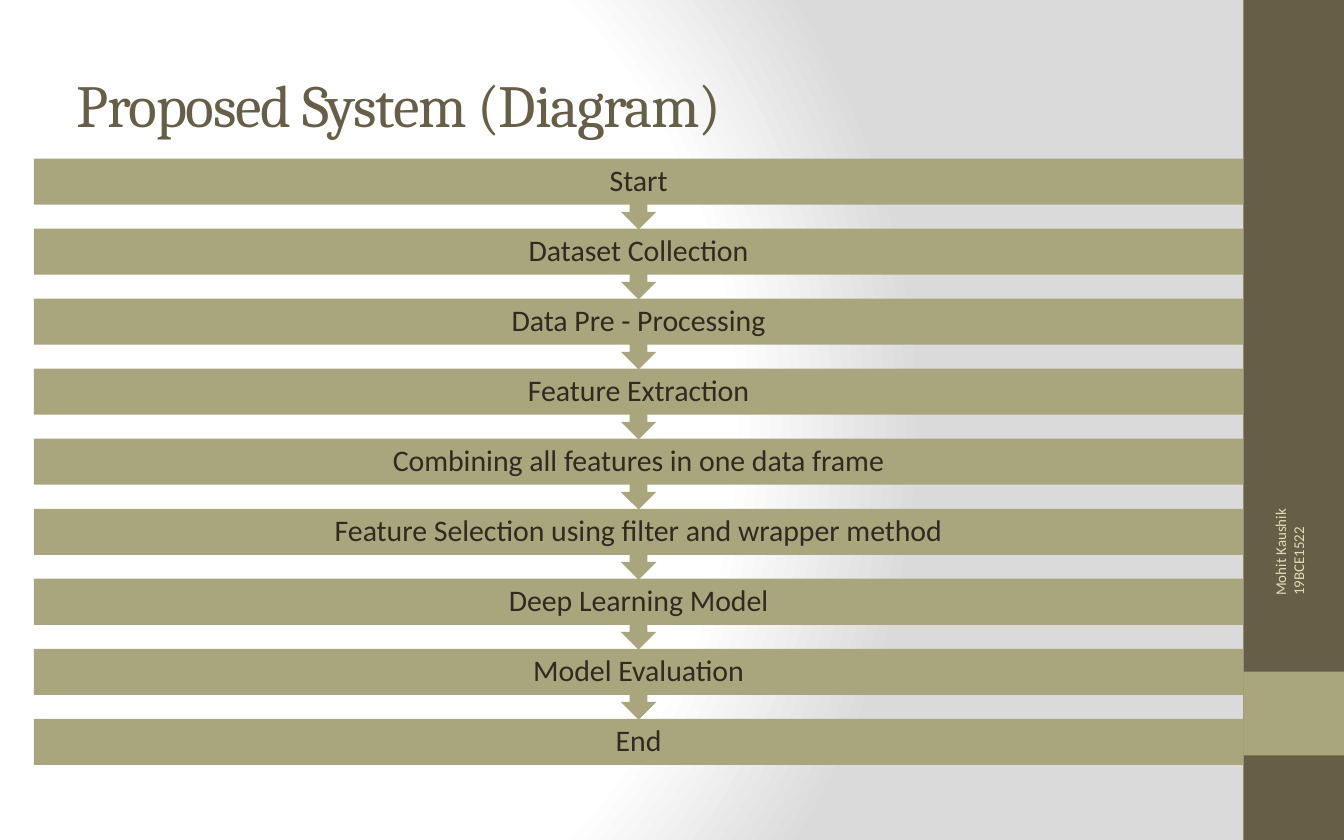
from lxml.etree import SubElement
from pptx import Presentation
from pptx.dml.color import RGBColor
from pptx.enum.shapes import MSO_SHAPE
from pptx.enum.text import MSO_ANCHOR, MSO_AUTO_SIZE, PP_ALIGN
from pptx.oxml import parse_xml
from pptx.oxml.ns import nsdecls, qn
from pptx.util import Cm, Pt

COLORS = {"brown": "675E47", "olive": "A9A57C", "dark": "2F2B20",
          "cream": "DFDCB7", "white": "FFFFFF", "grey": "DADADA"}
STEPS = ["Start", "Dataset Collection", "Data Pre - Processing",
         "Feature Extraction", "Combining all features in one data frame",
         "Feature Selection using filter and wrapper method",
         "Deep Learning Model", "Model Evaluation", "End"]
FIRST_TOP, LAST_TOP = 3.0, 13.59
PITCH = (LAST_TOP - FIRST_TOP) / (len(STEPS) - 1)


def set_background(s):
    stops = "".join(
        f'<a:gs pos="{pos * 1000}"><a:srgbClr val="{COLORS[name]}"/></a:gs>'
        for pos, name in [(0, "white"), (75, "white"), (100, "grey")])
    s.element.cSld.insert(0, parse_xml(
        f'<p:bg {nsdecls("p", "a")}><p:bgPr><a:gradFill rotWithShape="1">'
        f'<a:gsLst>{stops}</a:gsLst><a:path path="circle">'
        '<a:fillToRect l="20000" t="50000" r="100000" b="50000"/></a:path>'
        '</a:gradFill><a:effectLst/></p:bgPr></p:bg>'))


def set_frame(tf, margins):
    tf.word_wrap = True
    tf.auto_size = MSO_AUTO_SIZE.NONE
    tf.vertical_anchor = MSO_ANCHOR.MIDDLE
    tf.margin_left, tf.margin_top, tf.margin_right, tf.margin_bottom = map(Cm, margins)


def add_run(p, text, size, font, color):
    r = p.add_run()
    r.text = text
    r.font.size = Pt(size)
    r.font.name = font
    r.font.color.rgb = RGBColor.from_string(COLORS[color])
    return r


def add_block(s, kind, box, color):
    sp = s.shapes.add_shape(kind, *map(Cm, box))
    sp.shadow.inherit = False
    sp.fill.solid()
    sp.fill.fore_color.rgb = RGBColor.from_string(COLORS[color])
    sp.line.fill.background()
    return sp


def add_title(s, text):
    sp = s.shapes.title
    sp.left, sp.top, sp.width, sp.height = map(Cm, (1.27, 0.64, 21.16, 2.64))
    set_frame(sp.text_frame, (0.18, 0.09, 0.18, 0.09))
    p = sp.text_frame.paragraphs[0]
    p.alignment = PP_ALIGN.LEFT
    r = add_run(p, text, 32, "Cambria", "brown")
    r.font._element.set("spc", "-70")


def add_step(s, index, text):
    last = index == len(STEPS) - 1
    kind = MSO_SHAPE.RECTANGLE if last else MSO_SHAPE.DOWN_ARROW_CALLOUT
    height = 0.87 if last else 1.34
    sp = add_block(s, kind, (0.64, FIRST_TOP + index * PITCH, 22.86, height), "olive")
    set_frame(sp.text_frame, (0.3, 0, 0.3, 0))
    p = sp.text_frame.paragraphs[0]
    p.alignment = PP_ALIGN.CENTER
    p.line_spacing = 0.9
    add_run(p, text, 16, "Calibri", "dark")


def add_side_label(s, name, number):
    sp = s.shapes.add_textbox(Cm(21.62), Cm(9.3), Cm(5.49), Cm(1.02))
    sp.rotation = 270
    set_frame(sp.text_frame, (1.29, 0.09, 0.18, 0.09))
    p = sp.text_frame.paragraphs[0]
    # A tab stop sets the gap between name and number
    tabs = SubElement(p._p.get_or_add_pPr(), qn("a:tabLst"))
    SubElement(tabs, qn("a:tab"), pos=str(Cm(2.76)), algn="l")
    add_run(p, f"{name}\t{number}", 8, "Calibri", "cream")


def main():
    prs = Presentation()
    prs.slide_width, prs.slide_height = Cm(25.4), Cm(15.88)
    s = prs.slides.add_slide(prs.slide_layouts[5])
    set_background(s)

    # Side band
    add_block(s, MSO_SHAPE.RECTANGLE, (23.5, 0, 1.9, 15.88), "brown")
    add_block(s, MSO_SHAPE.RECTANGLE, (23.5, 12.7, 1.9, 1.58), "olive")

    # Title and process steps
    add_title(s, "Proposed System (Diagram)")
    for index, text in enumerate(STEPS):
        add_step(s, index, text)

    # Author
    add_side_label(s, "Mohit Kaushik", "19BCE1522")
    prs.save("out.pptx")


if __name__ == "__main__":
    main()
